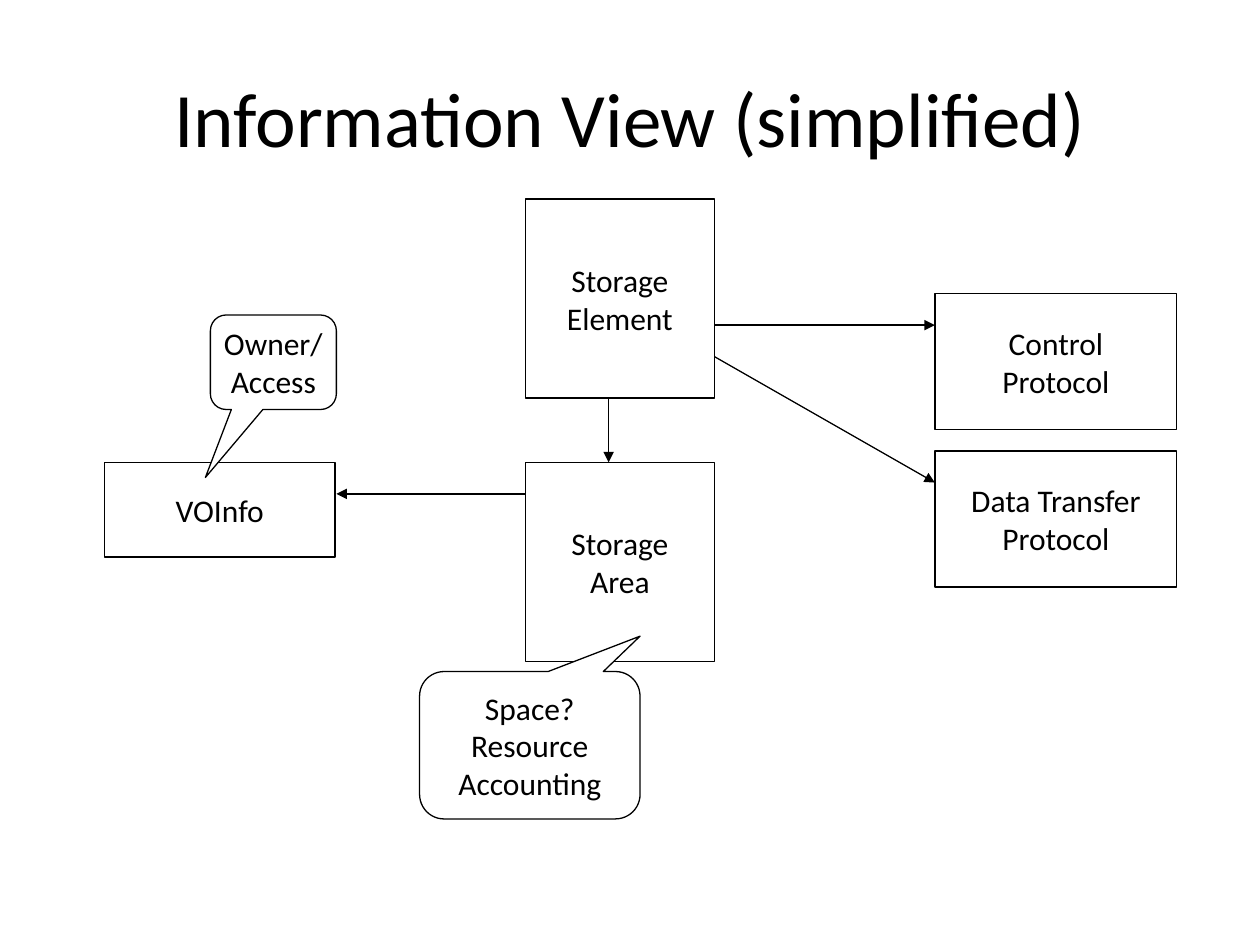
from lxml import etree
from pptx import Presentation
from pptx.dml.color import RGBColor
from pptx.enum.shapes import MSO_CONNECTOR, MSO_SHAPE
from pptx.enum.text import MSO_ANCHOR, PP_ALIGN
from pptx.oxml.ns import qn
from pptx.util import Inches, Pt

RECTANGLE = MSO_SHAPE.RECTANGLE
CALLOUT = MSO_SHAPE.ROUNDED_RECTANGULAR_CALLOUT
STRAIGHT = MSO_CONNECTOR.STRAIGHT
MIDDLE = MSO_ANCHOR.MIDDLE
CENTER = PP_ALIGN.CENTER

COLORS = {"ink": "000000", "paper": "FFFFFF"}
INK = RGBColor.from_string(COLORS["ink"])
PAPER = RGBColor.from_string(COLORS["paper"])
LINE_WIDTH = Pt(0.75)


def write_text(shape, text, size=18, font="Calibri", wrap=False, margin=0):
    """Write one centred paragraph for each line of text."""
    frame = shape.text_frame
    frame.text = text
    frame.word_wrap = wrap
    frame.vertical_anchor = MIDDLE
    frame.margin_left = frame.margin_right = Inches(margin)
    frame.margin_top = frame.margin_bottom = Inches(margin)
    for paragraph in frame.paragraphs:
        paragraph.alignment = CENTER
        paragraph.font.size = Pt(size)
        paragraph.font.name = font
        paragraph.font.color.rgb = INK


def add_node(kind, left, top, width, height, text, wrap=False):
    """Add a white outlined shape with a label."""
    shape = slide.shapes.add_shape(
        kind, Inches(left), Inches(top), Inches(width), Inches(height))
    shape.shadow.inherit = False
    shape.fill.solid()
    shape.fill.fore_color.rgb = PAPER
    shape.line.color.rgb = INK
    shape.line.width = LINE_WIDTH
    write_text(shape, text, wrap=wrap)
    return shape


presentation = Presentation()
presentation.slide_width = Inches(10)
presentation.slide_height = Inches(7.5)
slide = presentation.slides.add_slide(presentation.slide_layouts[5])

# Title
title = slide.shapes.title
title.left, title.top = Inches(0.5), Inches(0.3)
title.width, title.height = Inches(9), Inches(1.25)
write_text(title, "Information View (simplified)", size=44, wrap=True, margin=0.05)

# Boxes
boxes = [
    (4.17, 3.67, 1.5, 1.58, "Storage\nArea"),
    (4.17, 1.58, 1.5, 1.58, "Storage\nElement"),
    (0.83, 3.67, 1.83, 0.75, "VOInfo"),
    (7.42, 2.33, 1.92, 1.08, "Control\nProtocol"),
    (7.42, 3.58, 1.92, 1.08, "Data Transfer\nProtocol"),
]
for box in boxes:
    add_node(RECTANGLE, *box)

# Arrows: start x, start y, end x, end y
arrows = [
    (4.83, 3.17, 4.83, 3.67),
    (4.17, 3.92, 2.67, 3.92),
    (5.67, 2.58, 7.42, 2.58),
    (5.67, 2.83, 7.42, 3.83),
]
for arrow in arrows:
    connector = slide.shapes.add_connector(STRAIGHT, *map(Inches, arrow))
    connector.line.color.rgb = INK
    connector.line.width = LINE_WIDTH
    line = connector.line._get_or_add_ln()
    etree.SubElement(line, qn("a:tailEnd"), type="triangle")
    etree.SubElement(connector._element.spPr, qn("a:effectLst"))

# Callouts, with the tip given relative to the shape's centre and size
callouts = [
    (3.33, 5.33, 1.75, 1.17, "Space?\nResource\nAccounting", 0.5, -0.74),
    (1.67, 2.5, 1, 0.75, "Owner/\nAccess", -0.54, 1.22),
]
for *box, tip_x, tip_y in callouts:
    callout = add_node(CALLOUT, *box, wrap=True)
    callout.adjustments[0] = tip_x
    callout.adjustments[1] = tip_y

presentation.save("out.pptx")
